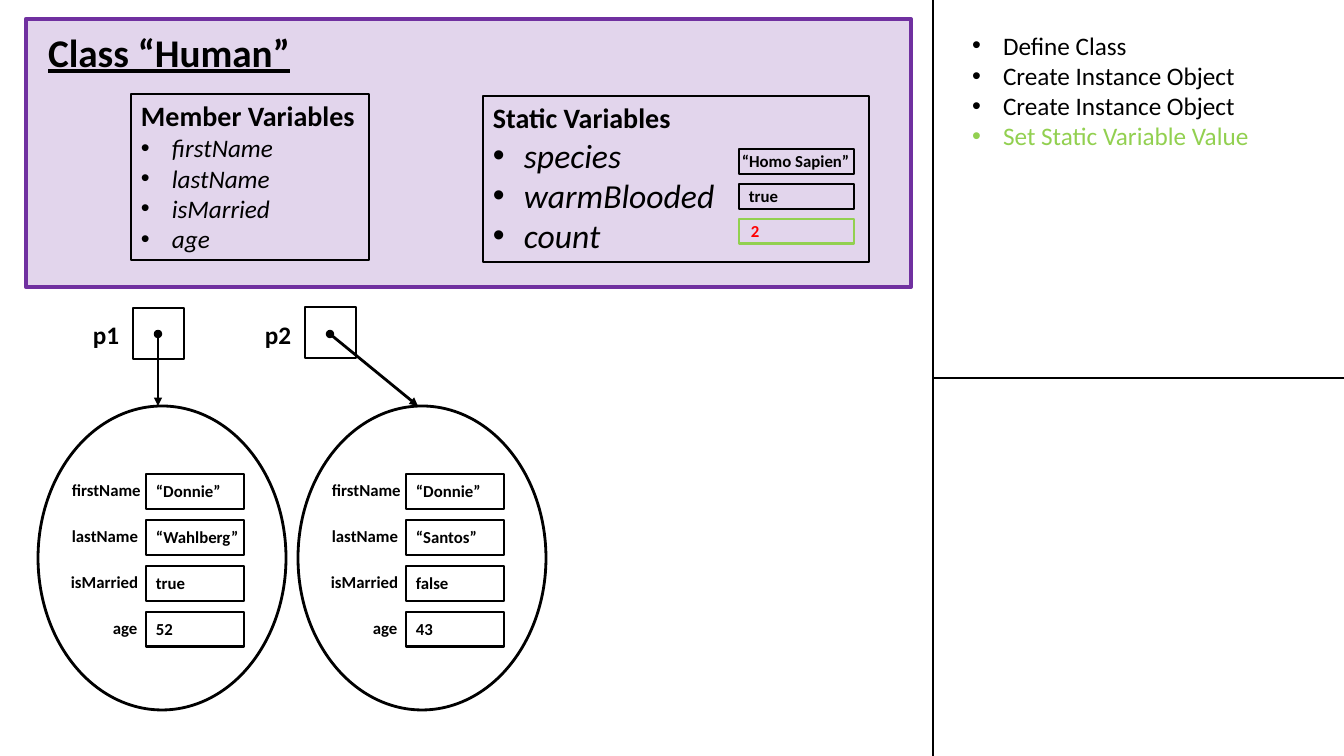
import pptx
import pptx.dml.color
import pptx.enum.shapes
import pptx.enum.text
import pptx.oxml
import pptx.oxml.ns
import pptx.util

PX = 914400 / 100.8
COLORS = {
    "ink": "000000",
    "class": "7030A0",
    "new": "92D050",
    "value": "FF0000",
}
RECT = pptx.enum.shapes.MSO_SHAPE.RECTANGLE
OVAL = pptx.enum.shapes.MSO_SHAPE.OVAL


def px(length):
    return pptx.util.Emu(round(length * PX))


def color(name):
    return pptx.dml.color.RGBColor.from_string(COLORS[name])


def add_xml(parent, tag, **attributes):
    child = parent.makeelement(pptx.oxml.ns.qn(tag), attributes)
    parent.append(child)
    return child


class Board:
    font = "Calibri"
    indent = 31

    def __init__(self, slide):
        self.slide = slide

    def shape(self, kind, left, top, width, height, line="ink", weight=2, fill=None, opacity=100):
        shape = self.slide.shapes.add_shape(kind, px(left), px(top), px(width), px(height))
        shape.shadow.inherit = False
        shape.line.color.rgb = color(line)
        shape.line.width = pptx.util.Pt(weight)
        if fill:
            shape.fill.solid()
            shape.fill.fore_color.rgb = color(fill)
            rgb = shape.fill._xPr.find(".//" + pptx.oxml.ns.qn("a:srgbClr"))
            add_xml(rgb, "a:alpha", val=str(opacity * 1000))
        else:
            shape.fill.background()
        return shape

    def line(self, x1, y1, x2, y2, pointer=False):
        straight = pptx.enum.shapes.MSO_CONNECTOR.STRAIGHT
        line = self.slide.shapes.add_connector(straight, px(x1), px(y1), px(x2), px(y2))
        line.line.color.rgb = color("ink")
        line.line.width = pptx.util.Pt(2)
        if pointer:
            outline = line.line._get_or_add_ln()
            add_xml(outline, "a:headEnd", type="oval")
            add_xml(outline, "a:tailEnd", type="triangle")
        add_xml(line._element.spPr, "a:effectLst")

    def fill_text(self, holder, entries):
        frame = holder.text_frame
        frame.word_wrap = True
        frame.auto_size = pptx.enum.text.MSO_AUTO_SIZE.NONE
        frame.vertical_anchor = pptx.enum.text.MSO_ANCHOR.TOP
        for index, entry in enumerate(entries):
            paragraph = frame.add_paragraph() if index else frame.paragraphs[0]
            self.paragraph(paragraph, **entry)

    def paragraph(self, paragraph, text, size=12, ink="ink", bullet=False,
                  bold=False, italic=False, underline=False):
        if bullet:
            properties = paragraph._p.get_or_add_pPr()
            properties.set("marL", str(px(self.indent)))
            properties.set("indent", str(-px(self.indent)))
            add_xml(properties, "a:buFont", typeface="Arial")
            add_xml(properties, "a:buChar", char="•")
        paragraph.alignment = pptx.enum.text.PP_ALIGN.LEFT
        paragraph.space_before = pptx.util.Pt(0)
        run = paragraph.add_run()
        run.text = text
        run.font.name = self.font
        run.font.size = pptx.util.Pt(size)
        run.font.bold = bold
        run.font.italic = italic
        run.font.underline = underline
        run.font.color.rgb = color(ink)

    def label(self, text, left, top, width, height=30, size=12, ink="ink"):
        label = self.slide.shapes.add_textbox(px(left), px(top), px(width), px(height))
        self.fill_text(label, [dict(text=text, size=size, ink=ink, bold=True)])

    def placeholder(self, holder, left, top, width, height, entries):
        holder.left, holder.top = px(left), px(top)
        holder.width, holder.height = px(width), px(height)
        self.slide.shapes._spTree.append(holder._element)
        self.fill_text(holder, entries)

    def variables(self, heading, names, size, left, top, width, height):
        frame = self.shape(RECT, left, top, width, height)
        entries = [dict(text=heading, size=20, bold=True)]
        entries += [dict(text=name, size=size, bullet=True, italic=True) for name in names]
        self.fill_text(frame, entries)

    def instance(self, left, values):
        self.shape(OVAL, left, 406, 248, 304)
        fields = [("firstName", 24), ("lastName", 24), ("isMarried", 23), ("age", 65)]
        for row, ((field, inset), value) in enumerate(zip(fields, values)):
            top = 474 + 46 * row
            self.shape(RECT, left + 108, top, 98, 35)
            self.label(field, left + inset, top + 1, 125)
            self.label(value, left + 108, top + 2, 112)

    def reference(self, name, left, top, target):
        self.shape(RECT, left, top, 51, 51)
        self.label(name, left - 50, 314, 50, 40, size=18)
        self.line(left + 25, 334, target, 406, pointer=True)


def main():
    deck = pptx.Presentation()
    deck.slide_width, deck.slide_height = px(1344), px(756)
    slide = deck.slides.add_slide(deck.slide_layouts[1])
    board = Board(slide)

    board.line(933, 0, 933, 756)
    board.line(933, 378, 1344, 378)

    board.shape(RECT, 26, 19, 885, 268, line="class", weight=3, fill="class", opacity=20)
    board.placeholder(slide.shapes.title, 38, 23, 300, 57, [
        dict(text="Class “Human”", size=28, bold=True, underline=True)])
    board.variables("Member Variables", ["firstName", "lastName", "isMarried", "age"],
                    18, 131, 94, 238, 166)
    board.variables("Static Variables", ["species", "warmBlooded", "count"],
                    24, 483, 96, 386, 166)

    statics = [
        ("“Homo Sapien”", 732, "ink", "ink"),
        ("true", 739, "ink", "ink"),
        ("2", 741, "value", "new"),
    ]
    for row, (value, left, ink, border) in enumerate(statics):
        top = 149 + 35 * row
        board.shape(RECT, 739, top, 115, 25, line=border)
        board.label(value, left, top - 3, 135, ink=ink)

    board.instance(38, ["“Donnie”", "“Wahlberg”", "true", "52"])
    board.instance(298, ["“Donnie”", "“Santos”", "false", "43"])
    board.reference("p1", 133, 308, 158)
    board.reference("p2", 305, 307, 418)

    steps = [
        ("Define Class", "ink"),
        ("Create Instance Object", "ink"),
        ("Create Instance Object", "ink"),
        ("Set Static Variable Value", "new"),
    ]
    board.placeholder(slide.placeholders[1], 962, 25, 344, 132, [
        dict(text=step, size=18, ink=ink, bullet=True) for step, ink in steps])

    deck.save("out.pptx")


if __name__ == "__main__":
    main()
